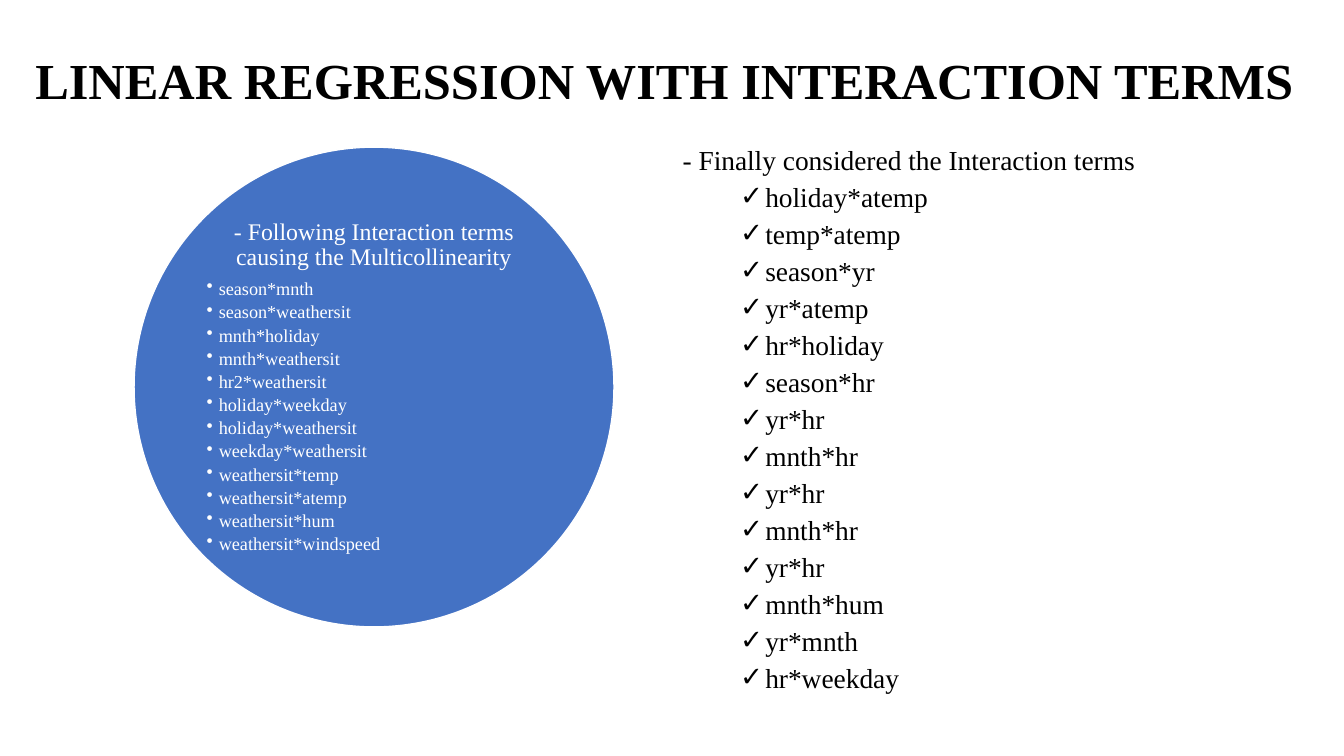
from lxml import etree
from pptx import Presentation
from pptx.dml.color import RGBColor
from pptx.enum.shapes import MSO_SHAPE as Shape
from pptx.enum.text import MSO_ANCHOR as Anchor, MSO_AUTO_SIZE as AutoSize, PP_ALIGN as Align
from pptx.oxml.ns import qn
from pptx.util import Inches, Pt

FONT = "Times New Roman"
BLACK, WHITE, BLUE = "000000", "FFFFFF", "4472C4"

TITLE = "LINEAR REGRESSION WITH INTERACTION TERMS"
REJECTED_HEADING = "- Following Interaction terms causing the Multicollinearity"
REJECTED_TERMS = [
    "season*mnth", "season*weathersit", "mnth*holiday", "mnth*weathersit",
    "hr2*weathersit", "holiday*weekday", "holiday*weathersit",
    "weekday*weathersit", "weathersit*temp", "weathersit*atemp",
    "weathersit*hum", "weathersit*windspeed",
]
CHOSEN_HEADING = "- Finally considered the Interaction terms"
CHOSEN_TERMS = [
    "holiday*atemp", "temp*atemp", "season*yr", "yr*atemp", "hr*holiday",
    "season*hr", "yr*hr", "mnth*hr", "yr*hr", "mnth*hr", "yr*hr",
    "mnth*hum", "yr*mnth", "hr*weekday",
]


def color(hex_code):
    return RGBColor.from_string(hex_code)


def set_bullet(para, bullet, indent, hang):
    """Give the paragraph a bullet with a hanging indent, or none at all."""
    properties = para._p.get_or_add_pPr()
    properties.set("marL", str(Inches(indent)))
    properties.set("indent", str(-Inches(hang)))
    if bullet:
        etree.SubElement(properties, qn("a:buChar")).set("char", bullet)
    else:
        etree.SubElement(properties, qn("a:buNone"))


def write(frame, text, size, ink=BLACK, bold=False, align=Align.LEFT, line=0.9,
          before=0, after=0, bullet=None, indent=0, hang=0):
    """Fill the empty first paragraph of the frame, or add one more."""
    first = not frame.text
    para = frame.paragraphs[0] if first else frame.add_paragraph()
    set_bullet(para, bullet, indent, hang)
    para.alignment = align
    para.line_spacing = line
    para.space_before = Pt(0 if first else before)
    para.space_after = Pt(after)
    span = para.add_run()
    span.text = text
    span.font.name = FONT
    span.font.size = Pt(size)
    span.font.bold = bold
    span.font.color.rgb = color(ink)


def place(shape, left, top, width, height, anchor):
    """Move a text shape to its box and return its wrapped text frame."""
    shape.left, shape.top = Inches(left), Inches(top)
    shape.width, shape.height = Inches(width), Inches(height)
    frame = shape.text_frame
    frame.word_wrap = True
    frame.auto_size = AutoSize.NONE
    frame.vertical_anchor = anchor
    return frame


def add_title(page, left, top, width, height):
    frame = place(page.shapes.title, left, top, width, height, Anchor.MIDDLE)
    write(frame, TITLE, 36, bold=True)


def add_rejected_circle(page, left, top, diameter):
    circle = page.shapes.add_shape(Shape.OVAL, Inches(left), Inches(top),
                                   Inches(diameter), Inches(diameter))
    circle.shadow.inherit = False
    circle.fill.solid()
    circle.fill.fore_color.rgb = color(BLUE)
    circle.line.color.rgb = color(WHITE)
    circle.line.width = Pt(1)

    inset = 0.7
    side = diameter - 2 * inset
    box = page.shapes.add_textbox(0, 0, 0, 0)
    frame = place(box, left + inset, top + inset, side, side, Anchor.MIDDLE)
    frame.margin_left = frame.margin_right = Inches(0.02)
    frame.margin_top = frame.margin_bottom = Inches(0.02)
    write(frame, REJECTED_HEADING, 17, ink=WHITE, align=Align.CENTER, after=6.5)
    for term in REJECTED_TERMS:
        write(frame, term, 13, ink=WHITE, after=2.5,
              bullet="•", indent=0.12, hang=0.12)


def add_chosen_list(page, left, top, width, height):
    frame = place(page.placeholders[1], left, top, width, height, Anchor.TOP)
    write(frame, CHOSEN_HEADING, 19.6, line=0.7)
    for term in CHOSEN_TERMS:
        write(frame, term, 19.6, line=0.7, before=10,
              bullet="✓", indent=0.82, hang=0.25)


def main():
    deck = Presentation()
    deck.slide_width, deck.slide_height = Inches(13.33), Inches(7.5)
    page = deck.slides.add_slide(deck.slide_layouts[1])
    add_title(page, 0.25, 0.4, 12.85, 0.86)
    add_rejected_circle(page, 1.33, 1.46, 4.76)
    add_chosen_list(page, 6.67, 1.46, 5.54, 5.64)
    deck.save("out.pptx")


if __name__ == "__main__":
    main()
